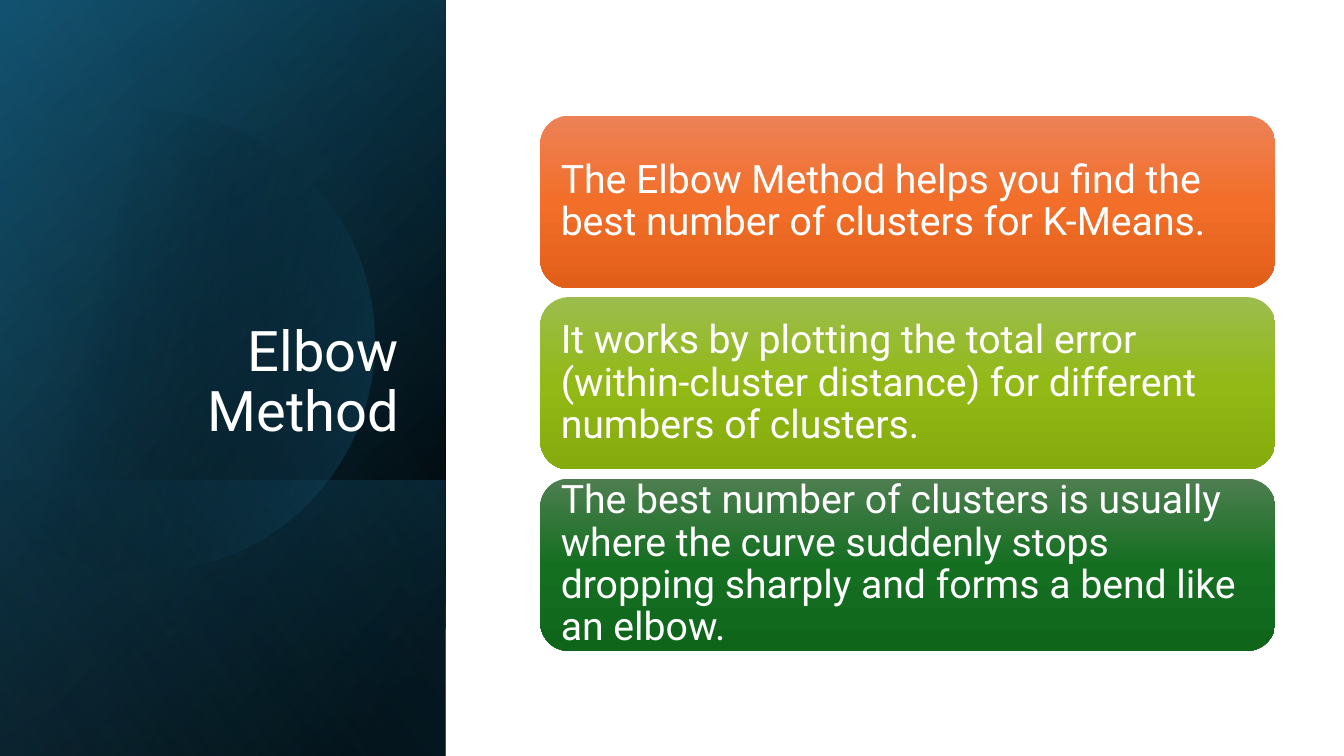
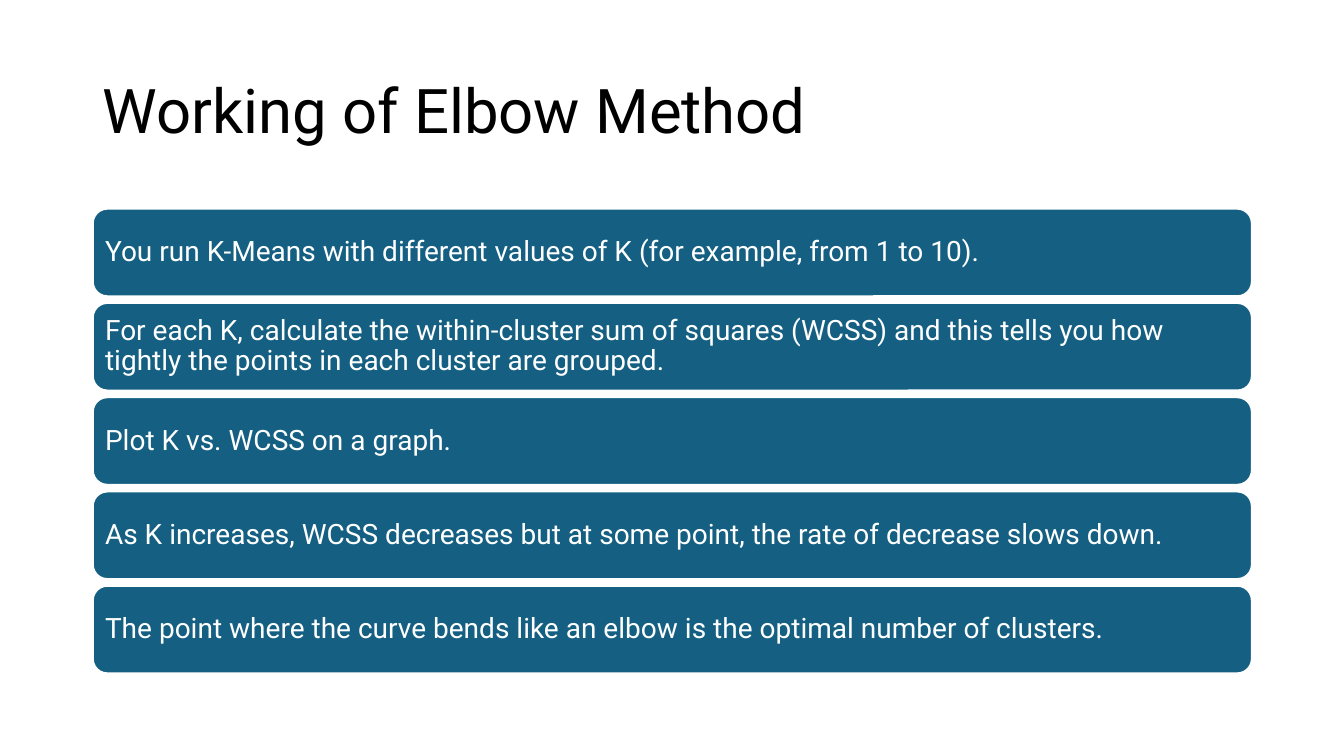
import math

from lxml import etree
from pptx import Presentation
from pptx.dml.color import RGBColor
from pptx.enum import shapes, text
from pptx.oxml import ns
from pptx.util import Emu, Inches, Pt

SLIDE_WIDTH, SLIDE_HEIGHT = Inches(13.33), Inches(7.5)
FONT = "Roboto"
WHITE = RGBColor(0xFF, 0xFF, 0xFF)
BLACK = RGBColor(0x00, 0x00, 0x00)
TEAL = RGBColor(0x15, 0x60, 0x82)
DARK_TEAL = RGBColor(0x10, 0x48, 0x62)
SKY = RGBColor(0x46, 0xB1, 0xE1)
ORANGES = (RGBColor(0xED, 0x82, 0x57), RGBColor(0xF2, 0x6E, 0x29), RGBColor(0xE2, 0x5F, 0x1A))
LIMES = (RGBColor(0x9C, 0xBD, 0x4E), RGBColor(0x92, 0xB9, 0x16), RGBColor(0x85, 0xAB, 0x0D))
GREENS = (RGBColor(0x4D, 0x7E, 0x50), RGBColor(0x15, 0x6F, 0x21), RGBColor(0x0F, 0x66, 0x1B))

# Shares of the slide's size, in percent
PANEL_WIDTH = 33.16
WEDGE_TOP = 63.5
CIRCLE_CENTRE = (10.7, 45.1)
CIRCLE_RADIUS = 30.5

SUMMARY = (
    ("The Elbow Method helps you find the best number of clusters for K-Means.", ORANGES),
    ("It works by plotting the total error (within-cluster distance) for different "
     "numbers of clusters.", LIMES),
    ("The best number of clusters is usually where the curve suddenly stops dropping "
     "sharply and forms a bend like an elbow.", GREENS),
)
STEPS = (
    "You run K-Means with different values of K (for example, from 1 to 10).",
    "For each K, calculate the within-cluster sum of squares (WCSS) and this tells you "
    "how tightly the points in each cluster are grouped.",
    "Plot K vs. WCSS on a graph.",
    "As K increases, WCSS decreases but at some point, the rate of decrease slows down.",
    "The point where the curve bends like an elbow is the optimal number of clusters.",
)


def across(percent):
    return Emu(round(SLIDE_WIDTH * percent / 100))


def down(percent):
    return Emu(round(SLIDE_HEIGHT * percent / 100))


def place(left, top, width, height):
    return across(left), down(top), across(width), down(height)


def fill_gradient(shape, angle, stops):
    """Fill with (position, colour, opacity) stops, all in percent; angle is clockwise."""
    shape.shadow.inherit = False
    shape.line.fill.background()
    shape.fill.gradient()
    shape.fill.gradient_angle = (360 - angle) % 360
    stop_list = shape._element.spPr.find(".//" + ns.qn("a:gsLst"))
    for old_stop in list(stop_list):
        stop_list.remove(old_stop)
    for position, colour, opacity in stops:
        stop = etree.SubElement(stop_list, ns.qn("a:gs"), pos=str(position * 1000))
        colour_node = etree.SubElement(stop, ns.qn("a:srgbClr"), val=str(colour))
        if opacity < 100:
            etree.SubElement(colour_node, ns.qn("a:alpha"), val=str(opacity * 1000))


def write(shape, words, size, colour, anchor, align=text.PP_ALIGN.LEFT):
    frame = shape.text_frame
    frame.word_wrap = True
    frame.vertical_anchor = anchor
    paragraph = frame.paragraphs[0]
    paragraph.alignment = align
    paragraph.line_spacing = 0.9
    run = paragraph.add_run()
    run.text = words
    run.font.name = FONT
    run.font.size = Pt(size)
    run.font.color.rgb = colour


def add_title(slide, box, words, size, colour, anchor, align=text.PP_ALIGN.LEFT):
    write(slide.shapes.add_textbox(*place(*box)), words, size, colour, anchor, align)


def add_card(slide, box, words, size, margin):
    card = slide.shapes.add_shape(shapes.MSO_SHAPE.ROUNDED_RECTANGLE, *place(*box))
    card.shadow.inherit = False
    frame = card.text_frame
    frame.margin_left = frame.margin_right = Inches(margin)
    frame.margin_top = frame.margin_bottom = Inches(margin)
    write(card, words, size, WHITE, text.MSO_ANCHOR.MIDDLE)
    return card


def add_panel_layer(slide, top, angle, stops):
    """Lay a gradient over the side panel, from top to the foot of the slide."""
    layer = slide.shapes.add_shape(
        shapes.MSO_SHAPE.RECTANGLE, *place(0, top, PANEL_WIDTH, 100 - top))
    fill_gradient(layer, angle, stops)


def add_panel_circle(slide):
    """Draw the circle cut off by the slide's left edge."""
    centre_x, centre_y = across(CIRCLE_CENTRE[0]), down(CIRCLE_CENTRE[1])
    radius = down(CIRCLE_RADIUS)
    reach = math.acos(-centre_x / radius)
    steps = 120
    angles = [reach * (2 * step / steps - 1) for step in range(steps + 1)]
    points = [(round(centre_x + radius * math.cos(angle)),
               round(centre_y + radius * math.sin(angle))) for angle in angles]
    builder = slide.shapes.build_freeform(*points[0])
    builder.add_line_segments(points[1:], close=True)
    fill_gradient(builder.convert_to_shape(), 14, [(29, BLACK, 0), (100, TEAL, 43)])


def add_panel(slide):
    add_panel_layer(slide, 0, 220, [(8, BLACK, 100), (100, DARK_TEAL, 100)])
    add_panel_layer(slide, 0, 240, [(0, BLACK, 0), (99, TEAL, 46)])
    add_panel_layer(slide, WEDGE_TOP, 140, [(2, TEAL, 29), (100, BLACK, 30)])
    add_panel_circle(slide)
    add_panel_layer(slide, 0, 150, [(0, BLACK, 0), (99, SKY, 11)])


def build_summary(slide):
    add_panel(slide)
    add_title(slide, (4.8, 24.5, 25.6, 34.9), "Elbow Method", 40, WHITE,
              text.MSO_ANCHOR.BOTTOM, text.PP_ALIGN.RIGHT)
    for row, (words, colours) in enumerate(SUMMARY):
        card = add_card(slide, (40.2, 15.3 + 24 * row, 54.7, 22.8), words, 28, 0.12)
        fill_gradient(card, 90, [(50 * i, colour, 100) for i, colour in enumerate(colours)])


def build_steps(slide):
    add_title(slide, (6.9, 5.3, 86.25, 19.3), "Working of Elbow Method", 44, BLACK,
              text.MSO_ANCHOR.MIDDLE)
    for row, words in enumerate(STEPS):
        card = add_card(slide, (6.9, 27.6 + 12.47 * row, 86.25, 11.6), words, 20, 0.08)
        card.fill.solid()
        card.fill.fore_color.rgb = TEAL
        card.line.color.rgb = WHITE
        card.line.width = Pt(1.5)


def main():
    presentation = Presentation()
    presentation.slide_width, presentation.slide_height = SLIDE_WIDTH, SLIDE_HEIGHT
    blank = presentation.slide_layouts[6]
    for build in (build_summary, build_steps):
        build(presentation.slides.add_slide(blank))
    presentation.save("out.pptx")


if __name__ == "__main__":
    main()
